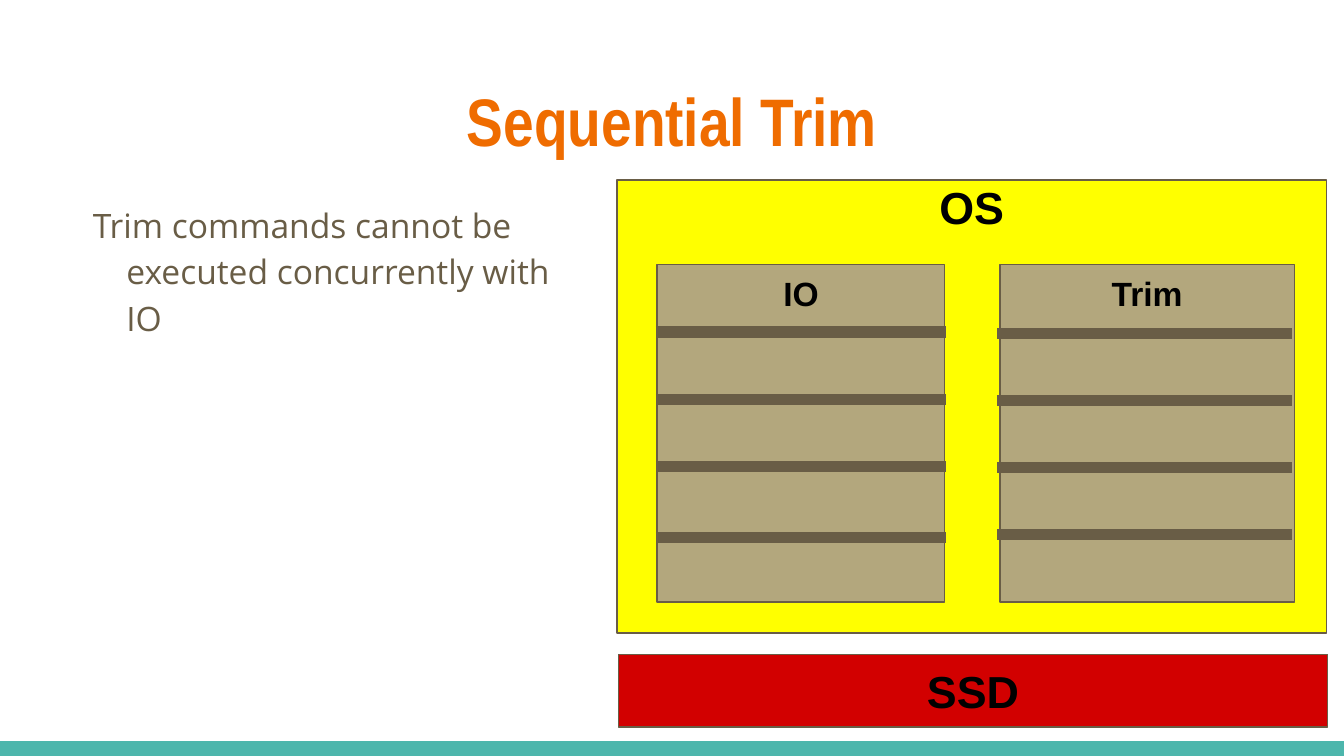
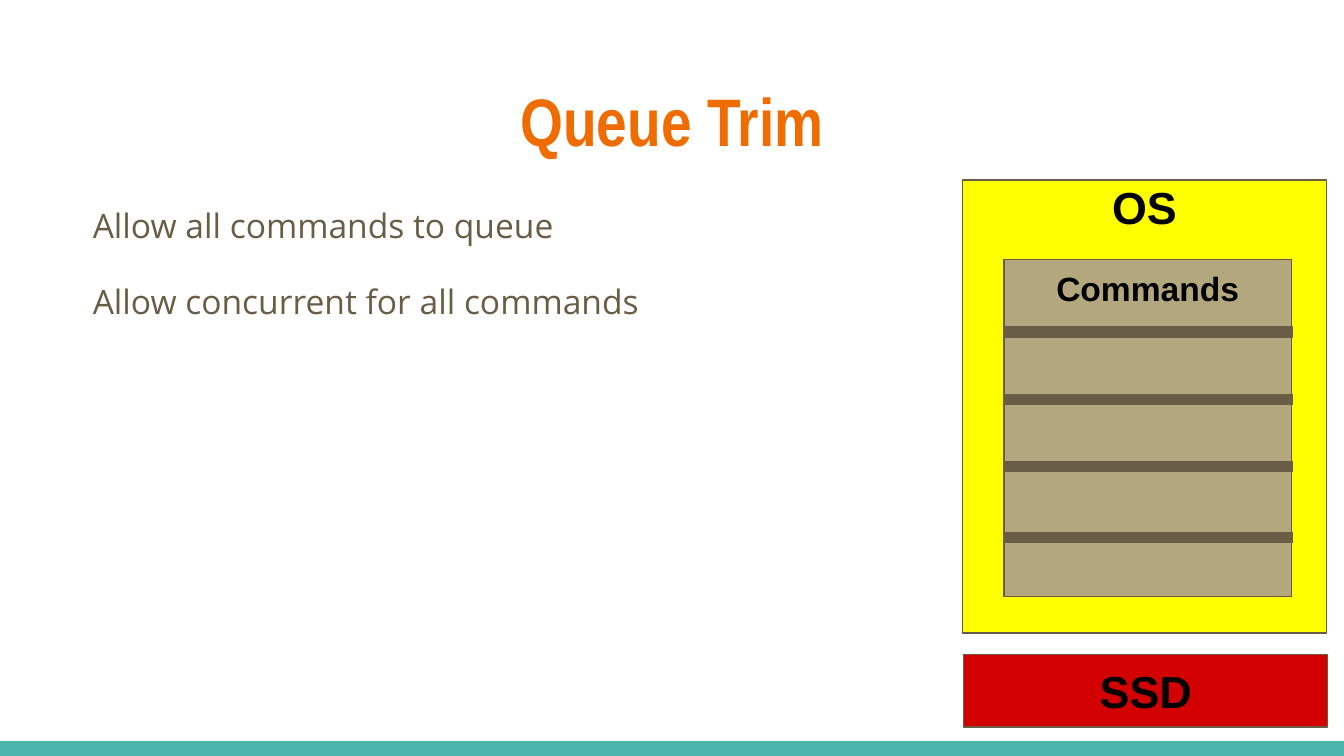
from lxml import etree
from pptx import Presentation
from pptx.dml.color import RGBColor
from pptx.enum.shapes import MSO_CONNECTOR, MSO_SHAPE
from pptx.enum.text import MSO_ANCHOR, MSO_AUTO_SIZE, PP_ALIGN
from pptx.oxml.ns import qn
from pptx.util import Inches, Pt

COLORS = {
    "band": "4DB6AC",
    "title": "EF6C00",
    "brown": "695D46",
    "os": "FFFF00",
    "ssd": "D20000",
    "queue": "B3A77D",
    "label": "000000",
}

UNEVEN_RULES = (2.47, 2.97, 3.47, 4.0)
EVEN_RULES = (2.48, 2.98, 3.48, 3.98)

# Queues: label, left, top, width, ends of its rules, heights of its rules
SLIDES = [
    {
        "title": "Sequential Trim",
        "body": ["Trim commands cannot be executed concurrently with IO"],
        "body_size": (4.15, 2.61),
        "system_width": 5.28,
        "queues": [
            ("IO", 4.89, 1.97, 2.14, (4.88, 7.04), UNEVEN_RULES),
            ("Trim", 7.44, 1.97, 2.19, (7.42, 9.61), EVEN_RULES),
        ],
    },
    {
        "title": "Queue Trim",
        "body": ["Allow all commands to queue", "Allow concurrent for all commands"],
        "body_size": (6.62, 3.61),
        "system_width": 2.71,
        "queues": [("Commands", 7.47, 1.93, 2.14, (7.47, 9.62), UNEVEN_RULES)],
    },
]

SLIDE_WIDTH = 10
SLIDE_HEIGHT = SLIDE_WIDTH * 9 / 16
BAND_HEIGHT = 0.11
TEXT_LEFT = 0.34
SYSTEM_RIGHT = 9.87
QUEUE_HEIGHT = 2.51


def rgb(name):
    return RGBColor.from_string(COLORS[name])


def style_font(font, name, size, color, bold=False):
    font.name, font.size, font.bold = name, Pt(size), bold
    font.color.rgb = rgb(color)


def place(shape, left, top, width, height):
    shape.left, shape.top = Inches(left), Inches(top)
    shape.width, shape.height = Inches(width), Inches(height)


def set_frame(frame, anchor, top_inset=0.1):
    frame.word_wrap = True
    frame.auto_size = MSO_AUTO_SIZE.NONE
    frame.vertical_anchor = anchor
    frame.margin_left = frame.margin_right = frame.margin_bottom = Inches(0.1)
    frame.margin_top = Inches(top_inset)


def add_box(slide, box, fill, outlined=True):
    shape = slide.shapes.add_shape(MSO_SHAPE.RECTANGLE, *map(Inches, box))
    shape.shadow.inherit = False
    shape.fill.solid()
    shape.fill.fore_color.rgb = rgb(fill)
    if outlined:
        shape.line.color.rgb = rgb("brown")
        shape.line.width = Pt(0.75)
    else:
        shape.line.fill.background()
    return shape


def add_labelled_box(slide, box, fill, label, size, anchor=MSO_ANCHOR.TOP, top_inset=0.1):
    frame = add_box(slide, box, fill).text_frame
    set_frame(frame, anchor, top_inset)
    frame.text = label
    paragraph = frame.paragraphs[0]
    paragraph.alignment = PP_ALIGN.CENTER
    style_font(paragraph.runs[0].font, "Arial", size, "label", bold=True)


def add_rule(slide, left, right, y):
    line = slide.shapes.add_connector(
        MSO_CONNECTOR.STRAIGHT, Inches(left), Inches(y), Inches(right), Inches(y))
    line.line.color.rgb = rgb("brown")
    line.line.width = Pt(6)
    etree.SubElement(line.element.spPr, qn("a:effectLst"))


def add_queue(slide, label, left, top, width, rule_ends, rule_heights):
    add_labelled_box(slide, (left, top, width, QUEUE_HEIGHT), "queue", label, 18, top_inset=0.06)
    for y in rule_heights:
        add_rule(slide, *rule_ends, y)


def fill_title(title, text):
    place(title, TEXT_LEFT, 0.49, 9.32, 0.77)
    set_frame(title.text_frame, MSO_ANCHOR.TOP)
    title.text_frame.text = text
    paragraph = title.text_frame.paragraphs[0]
    paragraph.alignment = PP_ALIGN.CENTER
    style_font(paragraph.runs[0].font, "Arial Narrow", 36, "title", bold=True)


def fill_body(body, lines, size):
    place(body, TEXT_LEFT, 1.38, *size)
    set_frame(body.text_frame, MSO_ANCHOR.TOP)
    body.text_frame.text = "\n".join(lines)
    for paragraph in body.text_frame.paragraphs:
        paragraph.line_spacing = 1.15
        paragraph.space_before, paragraph.space_after = Pt(0), Pt(16)
        style_font(paragraph.runs[0].font, "Open Sans", 18, "brown")
        properties = paragraph._p.get_or_add_pPr()
        properties.set("marL", str(Inches(0.5)))
        properties.set("indent", str(Inches(-0.25)))
        etree.SubElement(properties, qn("a:buNone"))


def add_band(slide):
    """Put the bottom band on the layout that all slides share."""
    box = (0, SLIDE_HEIGHT - BAND_HEIGHT, SLIDE_WIDTH, BAND_HEIGHT)
    band = add_box(slide, box, "band", outlined=False)
    slide.slide_layout.shapes.element.append(band.element)


def add_slide(presentation, content):
    slide = presentation.slides.add_slide(presentation.slide_layouts[1])
    fill_title(slide.shapes.title, content["title"])
    fill_body(slide.placeholders[1], content["body"], content["body_size"])

    width = content["system_width"]
    left = SYSTEM_RIGHT - width
    add_labelled_box(slide, (left, 1.34, width, 3.37), "os", "OS", 24, top_inset=0)
    add_labelled_box(slide, (left + 0.01, 4.87, width, 0.54), "ssd", "SSD", 24, MSO_ANCHOR.MIDDLE)
    for queue in content["queues"]:
        add_queue(slide, *queue)
    return slide


def main():
    presentation = Presentation()
    presentation.slide_width = Inches(SLIDE_WIDTH)
    presentation.slide_height = Inches(SLIDE_HEIGHT)
    slides = [add_slide(presentation, content) for content in SLIDES]
    add_band(slides[0])
    presentation.save("out.pptx")


if __name__ == "__main__":
    main()
